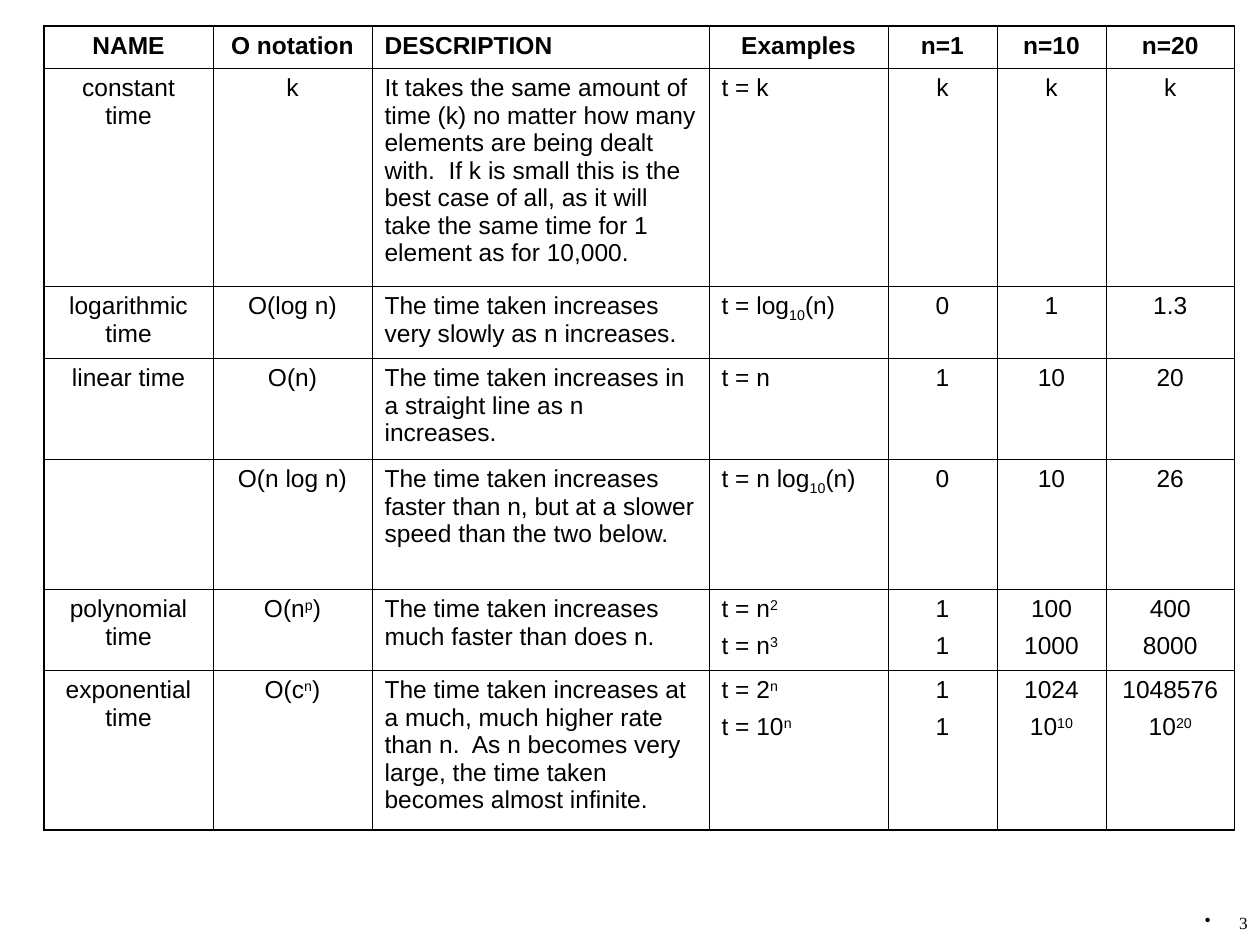
from dataclasses import dataclass

from lxml import etree
from pptx import Presentation
from pptx import util as u
from pptx.dml import color
from pptx.enum import text
from pptx.oxml import ns


@dataclass(frozen=True)
class Theme:
    ink: color.RGBColor = color.RGBColor(0, 0, 0)
    table_font: str = "Arial"
    table_size: float = 14
    number_font: str = "Times New Roman"
    number_size: float = 9.8
    thin: float = 0.45
    thick: float = 1.08
    before: float = 3.5
    after: float = 1.8


THEME = Theme()
LEFT, CENTER, RIGHT = text.PP_ALIGN.LEFT, text.PP_ALIGN.CENTER, text.PP_ALIGN.RIGHT
JUSTIFY = text.PP_ALIGN.JUSTIFY

COLUMN_WIDTHS = [96.5, 90.9, 192.6, 102.3, 62.3, 62.3, 73.5]
ROW_HEIGHTS = [24, 124.6, 41.1, 57.7, 74.3, 46.3, 91.4]
BODY_ALIGN = [CENTER, CENTER, LEFT, LEFT, CENTER, CENTER, CENTER]
HEAD_ALIGN = [CENTER, CENTER, JUSTIFY, CENTER, CENTER, CENTER, CENTER]

# "|" parts the spans, "^" raises a span, "_" lowers it, "\n" starts a paragraph
ROWS = [
    ["NAME", "O notation", "DESCRIPTION", "Examples", "n=1", "n=10", "n=20"],
    ["constant time", "k",
     "It takes the same amount of time (k) no matter how many elements are "
     "being dealt with.  If k is small this is the best case of all, as it "
     "will take the same time for 1 element as for 10,000.",
     "t = k", "k", "k", "k"],
    ["logarithmic time", "O(log n)",
     "The time taken increases very slowly as n increases.",
     "t = log|_10|(n)", "0", "1", "1.3"],
    ["linear time", "O(n)",
     "The time taken increases in a straight line as n increases.",
     "t = n", "1", "10", "20"],
    ["", "O(n log n)",
     "The time taken increases faster than n, but at a slower speed than "
     "the two below.",
     "t = n log|_10|(n)", "0", "10", "26"],
    ["polynomial time", "O(n|^p|)",
     "The time taken increases much faster than does n.",
     "t = n|^2\nt = n|^3", "1\n1", "100\n1000", "400\n8000"],
    ["exponential time", "O(c|^n|)",
     "The time taken increases at a much, much higher rate than n.  As n "
     "becomes very large, the time taken becomes almost infinite.",
     "t = 2|^n\nt = 10|^n", "1\n1", "1024\n10|^10", "1048576\n10|^20"],
]
SHIFTS = {"^": "30000", "_": "-25000"}


def write(frame, content, *, font, size, align, bold=False, after=0, spacing=None):
    """Fill a text frame with marked-up paragraphs in one format."""
    for index, line in enumerate(content.split("\n")):
        para = frame.paragraphs[0] if index == 0 else frame.add_paragraph()
        para.alignment = align
        para.space_before, para.space_after = u.Pt(THEME.before), u.Pt(after)
        if spacing:
            para.line_spacing = spacing
        for piece in filter(None, line.split("|")):
            shift = SHIFTS.get(piece[0])
            span = para.add_run()
            span.text = piece[1:] if shift else piece
            span.font.name, span.font.size = font, u.Pt(size)
            span.font.bold = bold
            span.font.color.rgb = THEME.ink
            if shift:
                span.font._element.set("baseline", shift)


def add_borders(cell, widths):
    """Draw the cell edges; widths maps L, R, T, B to points."""
    properties = cell._tc.get_or_add_tcPr()
    for side, width in widths.items():
        line = etree.SubElement(properties, ns.qn(f"a:ln{side}"), w=str(u.Pt(width)))
        fill = etree.SubElement(line, ns.qn("a:solidFill"))
        etree.SubElement(fill, ns.qn("a:srgbClr"), val=str(THEME.ink))


def add_bullet(para, mark, indent):
    """Hang a bullet in front of a paragraph."""
    properties = para._p.get_or_add_pPr()
    properties.set("marL", str(u.Pt(indent)))
    properties.set("indent", str(-u.Pt(indent)))
    fill = etree.SubElement(properties, ns.qn("a:buClr"))
    etree.SubElement(fill, ns.qn("a:srgbClr"), val=str(THEME.ink))
    etree.SubElement(properties, ns.qn("a:buChar"), char=mark)


def add_complexity_table(page):
    last_row, last_column = len(ROWS) - 1, len(COLUMN_WIDTHS) - 1
    table = page.shapes.add_table(
        len(ROWS), len(COLUMN_WIDTHS), u.Pt(25.2), u.Pt(15),
        u.Pt(sum(COLUMN_WIDTHS)), u.Pt(sum(ROW_HEIGHTS))).table
    table.first_row = table.horz_banding = False
    for column, width in zip(table.columns, COLUMN_WIDTHS):
        column.width = u.Pt(width)
    for row, height in zip(table.rows, ROW_HEIGHTS):
        row.height = u.Pt(height)

    for r, contents in enumerate(ROWS):
        for c, content in enumerate(contents):
            cell = table.cell(r, c)
            outer = {"L": c == 0, "R": c == last_column,
                     "T": r == 0, "B": r == last_row}
            add_borders(cell, {side: THEME.thick if edge else THEME.thin
                               for side, edge in outer.items()})
            cell.fill.background()
            write(cell.text_frame, content, font=THEME.table_font,
                  size=THEME.table_size, bold=r == 0, after=THEME.after,
                  align=(BODY_ALIGN if r else HEAD_ALIGN)[c])


def add_page_number(page, content):
    box = page.shapes.add_textbox(u.Pt(674), u.Pt(520), u.Pt(46), u.Pt(20))
    frame = box.text_frame
    frame.word_wrap = True
    write(frame, content, font=THEME.number_font, size=THEME.number_size,
          align=RIGHT, spacing=0.8)
    add_bullet(frame.paragraphs[0], "•", 17)


def main():
    deck = Presentation()
    deck.slide_width, deck.slide_height = u.Pt(720), u.Pt(540)
    page = deck.slides.add_slide(deck.slide_layouts[6])
    add_complexity_table(page)
    add_page_number(page, " 3")
    deck.save("out.pptx")


if __name__ == "__main__":
    main()
